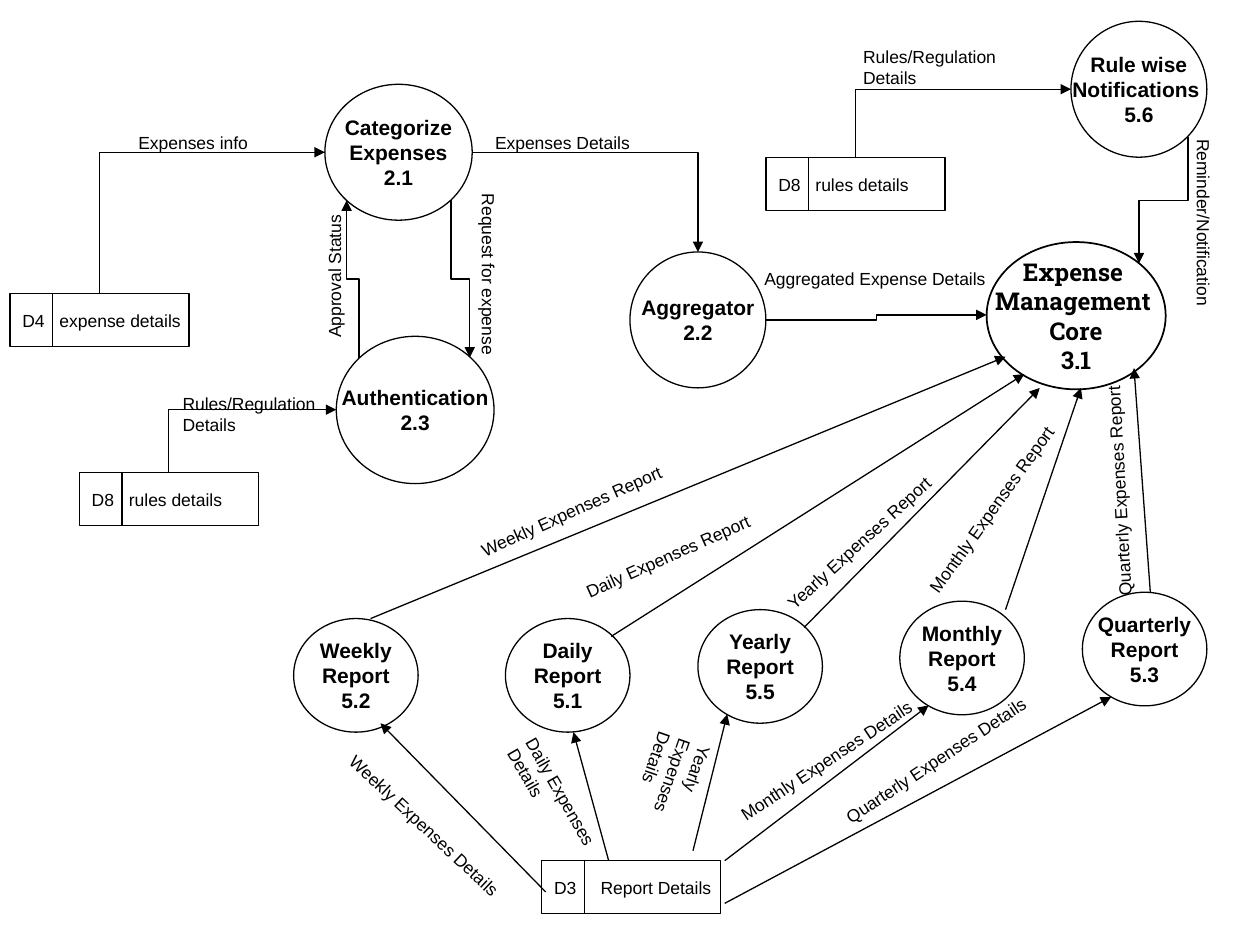
from dataclasses import dataclass

from lxml.etree import SubElement
from pptx import Presentation
from pptx.dml.color import RGBColor
from pptx.enum.shapes import MSO_CONNECTOR, MSO_SHAPE
from pptx.enum.text import MSO_ANCHOR, MSO_AUTO_SIZE, PP_ALIGN
from pptx.oxml.ns import qn
from pptx.util import Cm, Pt


@dataclass(frozen=True)
class Theme:
    ink: RGBColor = RGBColor(0, 0, 0)
    font: str = "Arial"
    core_font: str = "Roboto Slab"
    label_size: float = 10
    process_size: float = 12
    core_size: float = 14
    line_width: float = 0.75
    core_line_width: float = 1


@dataclass(frozen=True)
class Box:
    left: float
    top: float
    width: float
    height: float

    def inner(self, left, top, width, height):
        return Box(self.left + left, self.top + top, width, height)

    def point(self, position):
        return self.left + position[0], self.top + position[1]

    def lengths(self):
        return [Cm(value) for value in (self.left, self.top, self.width, self.height)]


THEME = Theme()
QUARTER_TURN = "5400000"


def write_text(frame, text, size=THEME.label_size, font=THEME.font, bold=False,
               align=PP_ALIGN.LEFT, anchor=MSO_ANCHOR.TOP, wrap=True):
    frame.text = text
    frame.word_wrap = wrap
    frame.vertical_anchor = anchor
    for paragraph in frame.paragraphs:
        paragraph.alignment = align
        paragraph.font.size = Pt(size)
        paragraph.font.name = font
        paragraph.font.bold = bold
        paragraph.font.color.rgb = THEME.ink


def outlined_shape(shapes, kind, box, line_width=THEME.line_width):
    shape = shapes.add_shape(kind, *box.lengths())
    shape.shadow.inherit = False
    shape.fill.background()
    shape.line.color.rgb = THEME.ink
    shape.line.width = Pt(line_width)
    return shape


def process(slide, box, text, size=THEME.process_size, font=THEME.font,
            line_width=THEME.line_width):
    shape = outlined_shape(slide.shapes, MSO_SHAPE.OVAL, box, line_width)
    write_text(shape.text_frame, text, size=size, font=font, bold=True,
               align=PP_ALIGN.CENTER, anchor=MSO_ANCHOR.MIDDLE, wrap=False)


def label(slide, box, text, rotation=0, right_margin=0):
    text_box = slide.shapes.add_textbox(*box.lengths())
    text_box.rotation = rotation
    frame = text_box.text_frame
    frame.auto_size = MSO_AUTO_SIZE.NONE
    frame.margin_right = Cm(right_margin)
    write_text(frame, text)


def connector(shapes, start, end, kind=MSO_CONNECTOR.STRAIGHT, arrow=True):
    line = shapes.add_connector(kind, *[Cm(value) for value in (*start, *end)])
    line.line.color.rgb = THEME.ink
    line.line.width = Pt(THEME.line_width)
    properties = line._element.spPr
    SubElement(properties, qn("a:effectLst"))
    if arrow:
        SubElement(properties.find(qn("a:ln")), qn("a:tailEnd"), type="triangle")
    return line


def elbow(slide, start, end, bends=2, vertical_first=False):
    if vertical_first:
        middle_x, middle_y = (start[0] + end[0]) / 2, (start[1] + end[1]) / 2
        half_x, half_y = (end[1] - start[1]) / 2, (start[0] - end[0]) / 2
        start = middle_x - half_x, middle_y - half_y
        end = middle_x + half_x, middle_y + half_y
    line = connector(slide.shapes, start, end, kind=MSO_CONNECTOR.ELBOW)
    properties = line._element.spPr
    properties.find(qn("a:prstGeom")).set("prst", f"bentConnector{bends + 1}")
    if vertical_first:
        properties.find(qn("a:xfrm")).set("rot", QUARTER_TURN)


def data_store(slide, box, code, name, name_offset=1):
    shapes = slide.shapes.add_group_shape().shapes
    outlined_shape(shapes, MSO_SHAPE.RECTANGLE, box)
    connector(shapes, box.point((0.86, 0)), box.point((0.86, box.height)), arrow=False)
    for text, offset, width in ((code, 0.25, 0.6), (name, name_offset, box.width - name_offset)):
        cell = shapes.add_textbox(*box.inner(offset, 0, width, box.height).lengths())
        frame = cell.text_frame
        frame.margin_left = frame.margin_right = 0
        write_text(frame, text, anchor=MSO_ANCHOR.MIDDLE)


def expense_flow(slide, box):
    for text, *place in (
        ("Categorize\nExpenses\n2.1", 6.35, 0, 2.97, 2.74),
        ("Aggregator\n2.2", 12.5, 3.38, 2.74, 2.74),
        ("Authentication\n2.3", 6.58, 5.08, 3.18, 2.97),
    ):
        process(slide, box.inner(*place), text)
    data_store(slide, box.inner(0, 4.22, 3.61, 1.07), "D4", "expense details")
    data_store(slide, box.inner(1.4, 7.83, 3.61, 1.07), "D8", "rules details")
    for start, end, bends, vertical_first in (
        ((1.81, 4.22), (6.35, 1.37), 1, True),
        ((9.32, 1.37), (13.87, 3.38), 1, False),
        ((8.89, 2.34), (9.27, 5.51), 2, True),
        ((3.2, 7.83), (6.58, 6.56), 1, True),
        ((7.04, 5.51), (6.79, 2.34), 2, True),
    ):
        elbow(slide, box.point(start), box.point(end), bends, vertical_first)
    for text, rotation, *place in (
        ("Expenses info", 0, 2.34, 0.84, 2.72, 0.69),
        ("Request for expense", 90, 7.78, 3.48, 3.73, 0.69),
        ("Expenses Details", 0, 9.53, 0.84, 3.23, 0.69),
        ("Rules/Regulation\nDetails", 0, 3.23, 6.1, 3.28, 1.12),
        ("Approval Status", 270, 5.06, 3.53, 2.97, 0.69),
    ):
        label(slide, box.inner(*place), text, rotation)


def management_core(slide, box):
    process(slide, box.inner(6.43, 0, 2.74, 2.74), "Rule wise\nNotifications \n5.6")
    process(slide, box.inner(4.73, 4.45, 3.61, 2.97), "Expense \nManagement \nCore\n3.1",
            size=THEME.core_size, font=THEME.core_font, line_width=THEME.core_line_width)
    data_store(slide, box.inner(0.28, 2.75, 3.61, 1.07), "D8", "rules details")
    for start, end, bends, vertical_first in (
        ((0.28, 6.02), (4.73, 5.92), 2, False),
        ((2.09, 2.75), (6.43, 1.37), 1, True),
        ((8.79, 2.34), (7.8, 4.88), 2, True),
    ):
        elbow(slide, box.point(start), box.point(end), bends, vertical_first)
    for text, rotation, *place in (
        ("Aggregated Expense Details", 0, 0, 4.85, 4.95, 0.69),
        ("Rules/Regulation\nDetails", 0, 1.99, 0.38, 3.28, 1.12),
        ("Reminder/Notification", 90, 7.17, 3.71, 3.86, 0.69),
    ):
        label(slide, box.inner(*place), text, rotation)


def reports(slide, box):
    data_store(slide, box.inner(5.02, 10.25, 3.61, 1.07), "D3", "Report Details", name_offset=1.19)
    for period, number, place, details_arrow, report_arrow in (
        ("Weekly", "5.2", (0.02, 5.37), ((5.1, 10.88), (1.77, 7.48)), ((1.57, 5.37), (14.37, 0.09))),
        ("Daily", "5.1", (4.29, 5.37), ((6.37, 10.25), (5.66, 7.66)), ((6.42, 5.73), (14.75, 0.44))),
        ("Yearly", "5.5", (8.17, 5.19), ((8.07, 10.05), (8.76, 7.3)), ((10.31, 5.55), (15.06, 0.72))),
        ("Monthly", "5.4", (12.24, 5.02), ((8.71, 10.25), (12.82, 7.12)), ((14.37, 5.19), (15.89, 0.72))),
        ("Quarterly", "5.3", (15.92, 4.84), ((8.71, 11.11), (16.5, 6.95)), ((17.29, 4.84), (16.96, 0.32))),
    ):
        process(slide, box.inner(*place, 2.51, 2.29), f"{period}\nReport\n{number}")
        for start, end in (details_arrow, report_arrow):
            connector(slide.shapes, box.point(start), box.point(end))
    for text, rotation, right_margin, *place in (
        ("Weekly Expenses Details", 43.1, 0, 0.42, 9.21, 4.47, 0.69),
        ("Daily Expenses Details", 60.2, 0.25, 3.73, 8.44, 3, 1.12),
        ("Yearly Expenses Details", 109.2, 0.25, 6.01, 8.24, 3, 1.52),
        ("Monthly Expenses Details", 326.5, 0, 8.48, 7.86, 4.65, 0.69),
        ("Quarterly Expenses Details", 326.5, 0, 10.58, 7.86, 4.85, 0.69),
        ("Weekly Expenses Report", 335.8, 0, 3.4, 2.86, 4.45, 0.69),
        ("Daily Expenses Report", 335.8, 0, 5.53, 3.77, 4.06, 0.69),
        ("Yearly Expenses Report", 317.8, 0, 9.29, 3.49, 4.29, 0.69),
        ("Monthly Expenses Report", 305.7, 0, 11.83, 2.83, 4.52, 0.69),
        ("Quarterly Expenses Report", 266.8, 0, 14.29, 2.45, 4.75, 0.69),
    ):
        label(slide, box.inner(*place), text, rotation, right_margin)


def main():
    presentation = Presentation()
    presentation.slide_width = Cm(25.4)
    presentation.slide_height = Cm(19.05)
    slide = presentation.slides.add_slide(presentation.slide_layouts[6])
    expense_flow(slide, Box(0.2, 1.7, 15.24, 8.9))
    management_core(slide, Box(15.16, 0.43, 9.17, 7.42))
    reports(slide, Box(5.9, 7.1, 18.43, 11.32))
    presentation.save("out.pptx")


if __name__ == "__main__":
    main()
